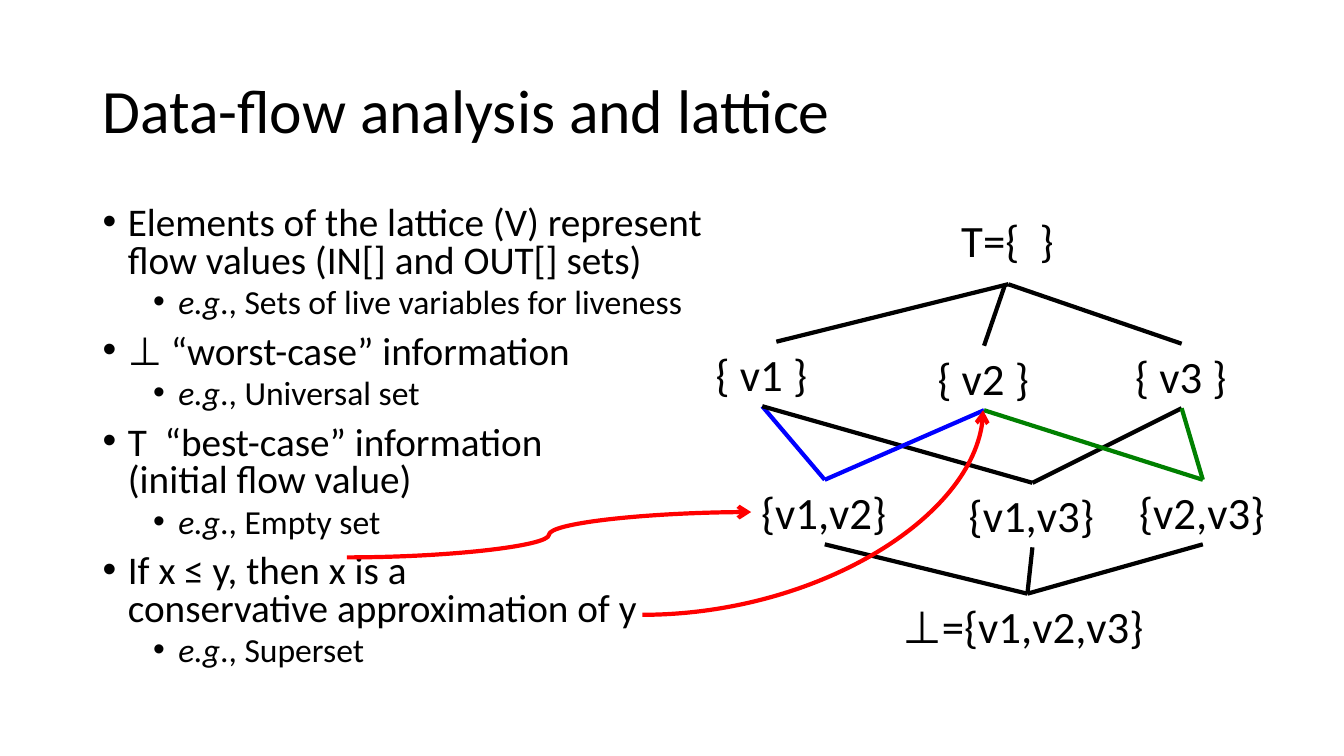
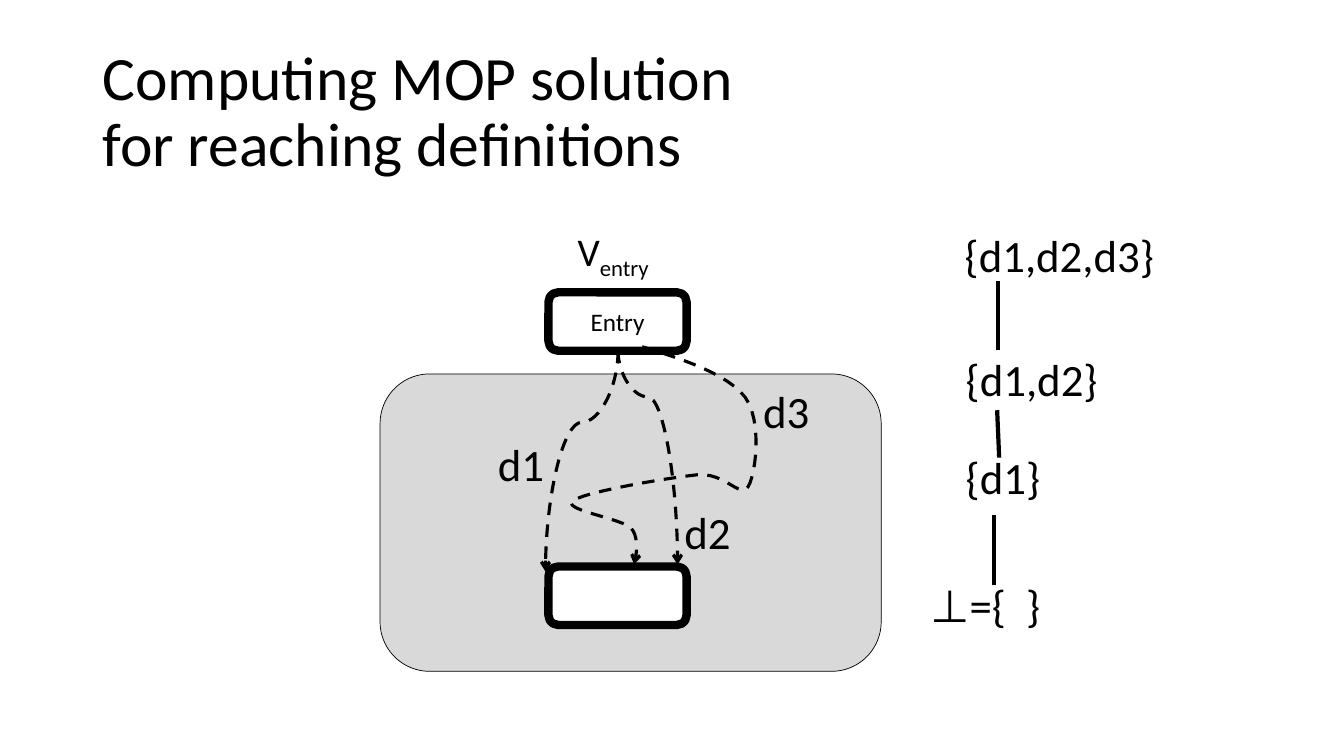
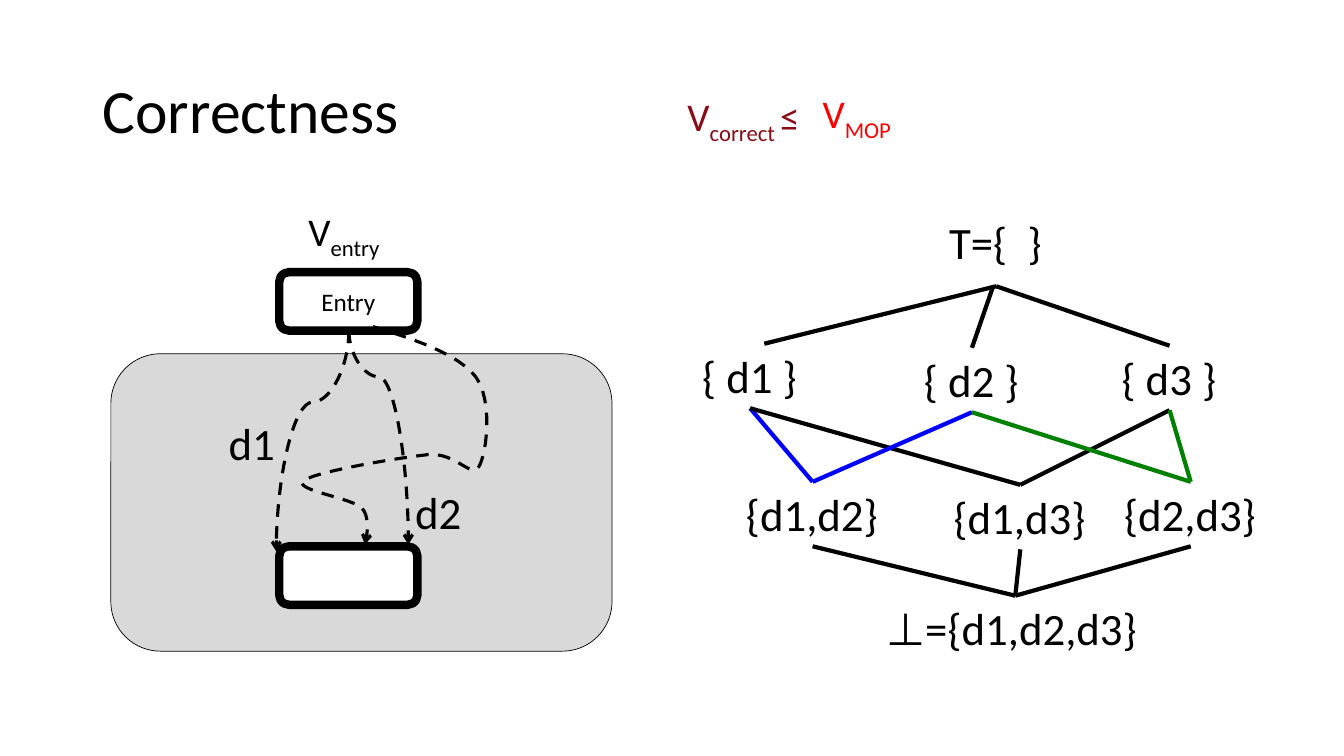
"""Build three slides on data-flow lattices and the MOP solution."""
import dataclasses
import typing

import lxml.etree
import pptx
import pptx.dml.color
import pptx.enum.dml
import pptx.enum.shapes
import pptx.enum.text
import pptx.oxml
import pptx.oxml.ns
import pptx.util

Inches = pptx.util.Inches
Point = tuple[float, float]


@dataclasses.dataclass(frozen=True)
class Theme:
    font: str = "Calibri"
    black: str = "000000"
    white: str = "FFFFFF"
    region: str = "D9D9D9"
    red: str = "FF0000"
    maroon: str = "880D16"
    blue: str = "0000FF"
    green: str = "008000"
    title_size: float = 44
    label_size: float = 32
    body_size: float = 28
    sub_size: float = 24
    entry_size: float = 18
    edge: float = 3
    path_line: float = 2.25
    block_line: float = 6
    region_line: float = 0.5


@dataclasses.dataclass(frozen=True)
class Label:
    left: float
    top: float
    width: float
    text: str
    subscript: str = ""
    after: str = ""
    size: float = 32
    color: str = "000000"


@dataclasses.dataclass(frozen=True)
class Bullet:
    text: str
    example: str


@dataclasses.dataclass(frozen=True)
class Node:
    x: float
    y: float
    width: float
    members: str
    prefix: str = ""
    drop: float = 0.32


@dataclasses.dataclass(frozen=True)
class Edge:
    upper: str
    lower: str
    color: str = "000000"
    upper_shift: float = 0
    lower_shift: float = 0


THEME = Theme()
LABEL_HEIGHT = 0.64
NODES = {
    "top": Node(10, 2.38, 1.13, "", "T=", 0.44),
    "1": Node(7.56, 3.71, 1.12, "1"),
    "2": Node(9.76, 3.75, 1.12, "2"),
    "3": Node(11.72, 3.73, 1.12, "3"),
    "12": Node(8.18, 5.08, 1.46, "12"),
    "13": Node(10.24, 5.11, 1.46, "13"),
    "23": Node(11.93, 5.08, 1.46, "23"),
    "bottom": Node(10.19, 6.21, 2.67, "123", "⊥="),
}
EDGES = (
    Edge("12", "bottom"),
    Edge("13", "bottom"),
    Edge("23", "bottom"),
    Edge("1", "12", THEME.blue),
    Edge("1", "13"),
    Edge("3", "13"),
    Edge("3", "23", THEME.green),
    Edge("2", "12", THEME.blue),
    Edge("2", "23", THEME.green),
    Edge("top", "1", lower_shift=0.14),
    Edge("top", "2", upper_shift=-0.03),
    Edge("top", "3"),
)
BULLETS = (
    Bullet("Elements of the lattice (V) represent\nflow values (IN[] and OUT[] sets)",
           "Sets of live variables for liveness"),
    Bullet("⊥ “worst-case” information", "Universal set"),
    Bullet("T  “best-case” information\n(initial flow value)", "Empty set"),
    Bullet("If x ≤ y, then x is a\nconservative approximation of y", "Superset"),
)
WINDING_PATH: tuple[Point, ...] = (
    (6.37, 3.44), (6.79, 3.57), (7.21, 3.71), (7.39, 3.94),
    (7.56, 4.17), (7.5, 4.7), (7.42, 4.83),
    (7.34, 4.95), (7.2, 4.69), (6.92, 4.71),
    (6.63, 4.74), (5.79, 4.88), (5.68, 4.97),
    (5.57, 5.06), (6.16, 5.14), (6.26, 5.24),
    (6.36, 5.35), (6.29, 5.6), (6.29, 5.6),
)
PATH_LABELS = (
    Label(4.84, 4.28, 0.67, "d1"),
    Label(6.69, 4.96, 0.67, "d2"),
    Label(7.47, 3.76, 0.67, "d3"),
)
CHAIN_LABELS = (
    Label(9.47, 2.21, 2.1, "{d1,d2,d3}"),
    Label(9.48, 3.44, 1.52, "{d1,d2}"),
    Label(9.48, 4.41, 0.95, "{d1}"),
    Label(9.13, 5.68, 1.36, "⊥={  }"),
)
CHAIN_LINES = (
    ((9.9, 3.47), (9.9, 2.79)),
    ((9.91, 4.54), (9.89, 4.07)),
    ((9.86, 5.8), (9.86, 5.11)),
)


def rgb(color: str) -> pptx.dml.color.RGBColor:
    return pptx.dml.color.RGBColor.from_string(color)


def set_font(paragraph: typing.Any, size: float, color: str = THEME.black) -> None:
    paragraph.font.name = THEME.font
    paragraph.font.size = pptx.util.Pt(size)
    paragraph.font.color.rgb = rgb(color)


def add_text(paragraph: typing.Any, text: str) -> None:
    for index, line in enumerate(text.split("\n")):
        if index:
            paragraph.add_line_break()
        paragraph.add_run().text = line


def add_box(slide: typing.Any, left: float, top: float, width: float, height: float) -> typing.Any:
    return slide.shapes.add_textbox(Inches(left), Inches(top), Inches(width), Inches(height)).text_frame


def add_title(slide: typing.Any, text: str) -> None:
    frame = add_box(slide, 0.92, 0.4, 11.5, 1.45)
    frame.word_wrap = True
    frame.vertical_anchor = pptx.enum.text.MSO_ANCHOR.MIDDLE
    paragraph = frame.paragraphs[0]
    paragraph.line_spacing = 0.9
    set_font(paragraph, THEME.title_size)
    add_text(paragraph, text)


def add_label(slide: typing.Any, label: Label) -> None:
    height = LABEL_HEIGHT if label.size == THEME.label_size else 0.57
    frame = add_box(slide, label.left, label.top, label.width, height)
    frame.word_wrap = False
    frame.auto_size = pptx.enum.text.MSO_AUTO_SIZE.SHAPE_TO_FIT_TEXT
    paragraph = frame.paragraphs[0]
    set_font(paragraph, label.size, label.color)
    add_text(paragraph, label.text)
    if label.subscript:
        run = paragraph.add_run()
        run.text = label.subscript
        run.font._element.set("baseline", "-25000")
    if label.after:
        add_text(paragraph, label.after)


def format_bullet(paragraph: typing.Any, level: int) -> None:
    paragraph.level = level
    paragraph.line_spacing = 0.8
    paragraph.space_before = pptx.util.Pt(5 if level else 10)
    properties = paragraph._p.get_or_add_pPr()
    properties.set("marL", str(Inches(0.25 + 0.5 * level)))
    properties.set("indent", str(Inches(-0.25)))
    for tag, key, value in (("a:buFont", "typeface", "Arial"), ("a:buChar", "char", "•")):
        lxml.etree.SubElement(properties, pptx.oxml.ns.qn(tag)).set(key, value)
    set_font(paragraph, THEME.sub_size if level else THEME.body_size)


def add_bullets(slide: typing.Any, bullets: tuple[Bullet, ...]) -> None:
    frame = add_box(slide, 0.92, 2, 6.53, 5.03)
    frame.word_wrap = True
    for index, bullet in enumerate(bullets):
        point = frame.add_paragraph() if index else frame.paragraphs[0]
        format_bullet(point, 0)
        add_text(point, bullet.text)
        example = frame.add_paragraph()
        format_bullet(example, 1)
        prefix = example.add_run()
        prefix.text = "e.g"
        prefix.font.italic = True
        add_text(example, f"., {bullet.example}")


def style_line(shape: typing.Any, color: str, width: float, dashed: bool = False, arrow: bool = False) -> None:
    shape.line.color.rgb = rgb(color)
    shape.line.width = pptx.util.Pt(width)
    if dashed:
        shape.line.dash_style = pptx.enum.dml.MSO_LINE.DASH
    if arrow:
        line = shape.line._get_or_add_ln()
        lxml.etree.SubElement(line, pptx.oxml.ns.qn("a:tailEnd")).set("type", "arrow")


def add_line(slide: typing.Any, start: Point, end: Point, color: str = THEME.black,
             curved: bool = False) -> typing.Any:
    kinds = pptx.enum.shapes.MSO_CONNECTOR
    connector = slide.shapes.add_connector(
        kinds.CURVE if curved else kinds.STRAIGHT, *(Inches(value) for value in (*start, *end)))
    style_line(connector, color, THEME.edge, arrow=curved)
    lxml.etree.SubElement(connector._element.spPr, pptx.oxml.ns.qn("a:effectLst"))
    return connector


def add_falling_curve(slide: typing.Any, start: Point, end: Point, bend: float) -> None:
    center_x, center_y = (start[0] + end[0]) / 2, (start[1] + end[1]) / 2
    half_width, half_height = (end[1] - start[1]) / 2, abs(end[0] - start[0]) / 2
    side = 1 if end[0] < start[0] else -1
    connector = add_line(slide, (center_x - side * half_width, center_y - half_height),
                         (center_x + side * half_width, center_y + half_height), curved=True)
    connector.line.width = pptx.util.Pt(THEME.path_line)
    connector.line.dash_style = pptx.enum.dml.MSO_LINE.DASH
    properties = connector._element.spPr
    properties.find(pptx.oxml.ns.qn("a:xfrm")).set("rot", str((90 if side > 0 else 270) * 60000))
    geometry = properties.find(pptx.oxml.ns.qn("a:prstGeom"))
    adjustments = geometry.find(pptx.oxml.ns.qn("a:avLst"))
    guide = lxml.etree.SubElement(adjustments, pptx.oxml.ns.qn("a:gd"))
    guide.set("name", "adj1")
    guide.set("fmla", f"val {round(bend * 100000)}")


def curve_points(controls: tuple[Point, ...], steps: int = 12) -> list[Point]:
    points = [controls[0]]
    for first in range(0, len(controls) - 1, 3):
        segment = controls[first:first + 4]
        for step in range(1, steps + 1):
            t = step / steps
            weights = ((1 - t) ** 3, 3 * t * (1 - t) ** 2, 3 * t * t * (1 - t), t ** 3)
            x, y = (sum(w * p[axis] for w, p in zip(weights, segment)) for axis in (0, 1))
            points.append((x, y))
    return points


def add_winding_path(slide: typing.Any, controls: tuple[Point, ...]) -> None:
    points = [(Inches(x), Inches(y)) for x, y in curve_points(controls)]
    builder = slide.shapes.build_freeform(*points[0])
    builder.add_line_segments(points[1:], close=False)
    shape = builder.convert_to_shape()
    shape.shadow.inherit = False
    shape.fill.background()
    style_line(shape, THEME.black, THEME.path_line, dashed=True, arrow=True)


def add_block(slide: typing.Any, left: float, top: float, width: float, height: float,
              fill: str, line_width: float, text: str = "") -> None:
    shape = slide.shapes.add_shape(
        pptx.enum.shapes.MSO_SHAPE.ROUNDED_RECTANGLE,
        Inches(left), Inches(top), Inches(width), Inches(height))
    shape.shadow.inherit = False
    if fill:
        shape.fill.solid()
        shape.fill.fore_color.rgb = rgb(fill)
    else:
        shape.fill.background()
    style_line(shape, THEME.black, line_width)
    if text:
        shape.text_frame.vertical_anchor = pptx.enum.text.MSO_ANCHOR.MIDDLE
        paragraph = shape.text_frame.paragraphs[0]
        paragraph.alignment = pptx.enum.text.PP_ALIGN.CENTER
        set_font(paragraph, THEME.entry_size)
        add_text(paragraph, text)


def add_lattice(slide: typing.Any, letter: str, dx: float = 0, dy: float = 0, letter_extra: float = 0) -> None:
    for node in NODES.values():
        names = ",".join(letter + member for member in node.members)
        content = f" {names} " if len(node.members) < 2 else names
        width = node.width + letter_extra * len(node.members)
        add_label(slide, Label(node.x + dx - width / 2, node.y + dy - LABEL_HEIGHT / 2,
                               width, f"{node.prefix}{{{content}}}"))
    for edge in EDGES:
        upper, lower = NODES[edge.upper], NODES[edge.lower]
        add_line(slide, (lower.x + dx + edge.lower_shift, lower.y + dy - LABEL_HEIGHT / 2),
                 (upper.x + dx + edge.upper_shift, upper.y + dy + upper.drop), edge.color)


def add_flow_graph(slide: typing.Any, labels: tuple[Label, ...], dx: float = 0, dy: float = 0) -> None:
    add_block(slide, 3.77 + dx, 3.71 + dy, 4.97, 2.95, THEME.region, THEME.region_line)
    add_block(slide, 5.44 + dx, 2.9 + dy, 1.37, 0.58, "", THEME.block_line, "Entry")
    add_block(slide, 5.44 + dx, 5.62 + dy, 1.37, 0.58, THEME.white, THEME.block_line)
    start = (6.13 + dx, 3.48 + dy)
    add_falling_curve(slide, start, (5.41 + dx, 5.67 + dy), 0.324)
    add_falling_curve(slide, start, (6.72 + dx, 5.6 + dy), 0.216)
    add_winding_path(slide, tuple((x + dx, y + dy) for x, y in WINDING_PATH))
    entry_value = Label(5.63, 2.21, 1, "V", "entry", size=THEME.body_size)
    for label in (entry_value, *labels):
        add_label(slide, dataclasses.replace(label, left=label.left + dx, top=label.top + dy))


def build_lattice_slide(slide: typing.Any) -> None:
    add_title(slide, "Data-flow analysis and lattice")
    add_bullets(slide, BULLETS)
    add_lattice(slide, "v")
    add_line(slide, (3.44, 5.53), (7.45, 5.08), THEME.red, curved=True)
    quarter = add_line(slide, (6.37, 6.1), (9.75, 4.07), THEME.red, curved=True)
    quarter._element.spPr.find(pptx.oxml.ns.qn("a:prstGeom")).set("prst", "curvedConnector2")


def build_solution_slide(slide: typing.Any) -> None:
    add_flow_graph(slide, PATH_LABELS)
    add_title(slide, "Computing MOP solution\nfor reaching definitions")
    for label in CHAIN_LABELS:
        add_label(slide, label)
    for start, end in CHAIN_LINES:
        add_line(slide, start, end)


def build_correctness_slide(slide: typing.Any) -> None:
    add_title(slide, "Correctness")
    add_lattice(slide, "d", -0.12, 0.02, 0.03)
    add_flow_graph(slide, PATH_LABELS[:2], -2.67, -0.2)
    add_label(slide, Label(8.06, 0.84, 0.96, "V", "MOP", size=THEME.body_size, color=THEME.red))
    add_label(slide, Label(6.72, 0.87, 1.47, "V", "correct ", "≤", THEME.body_size, THEME.maroon))


def main() -> None:
    presentation = pptx.Presentation()
    presentation.slide_width = Inches(13.33)
    presentation.slide_height = Inches(7.5)
    for build in (build_lattice_slide, build_solution_slide, build_correctness_slide):
        build(presentation.slides.add_slide(presentation.slide_layouts[6]))
    presentation.save("out.pptx")


if __name__ == "__main__":
    main()
